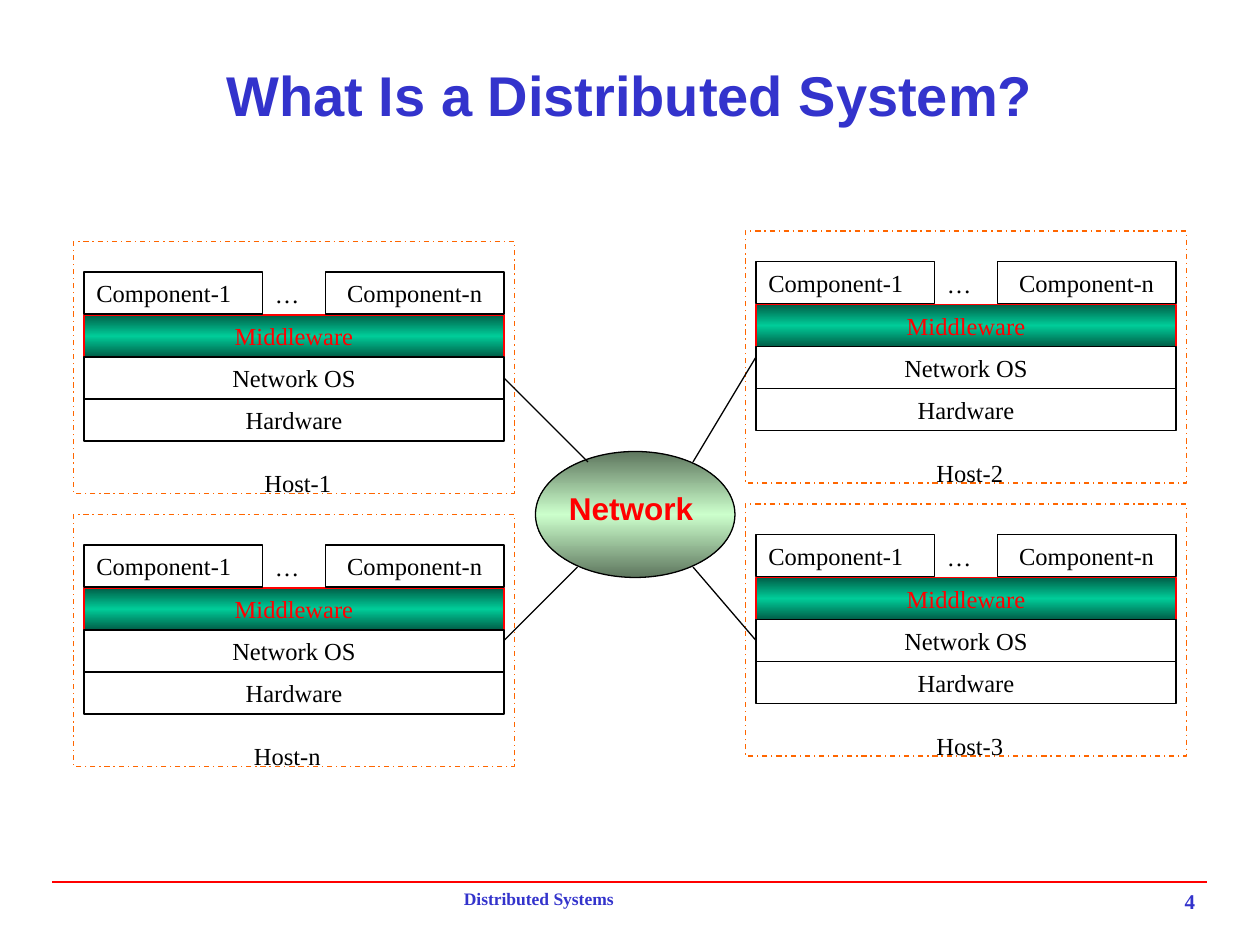
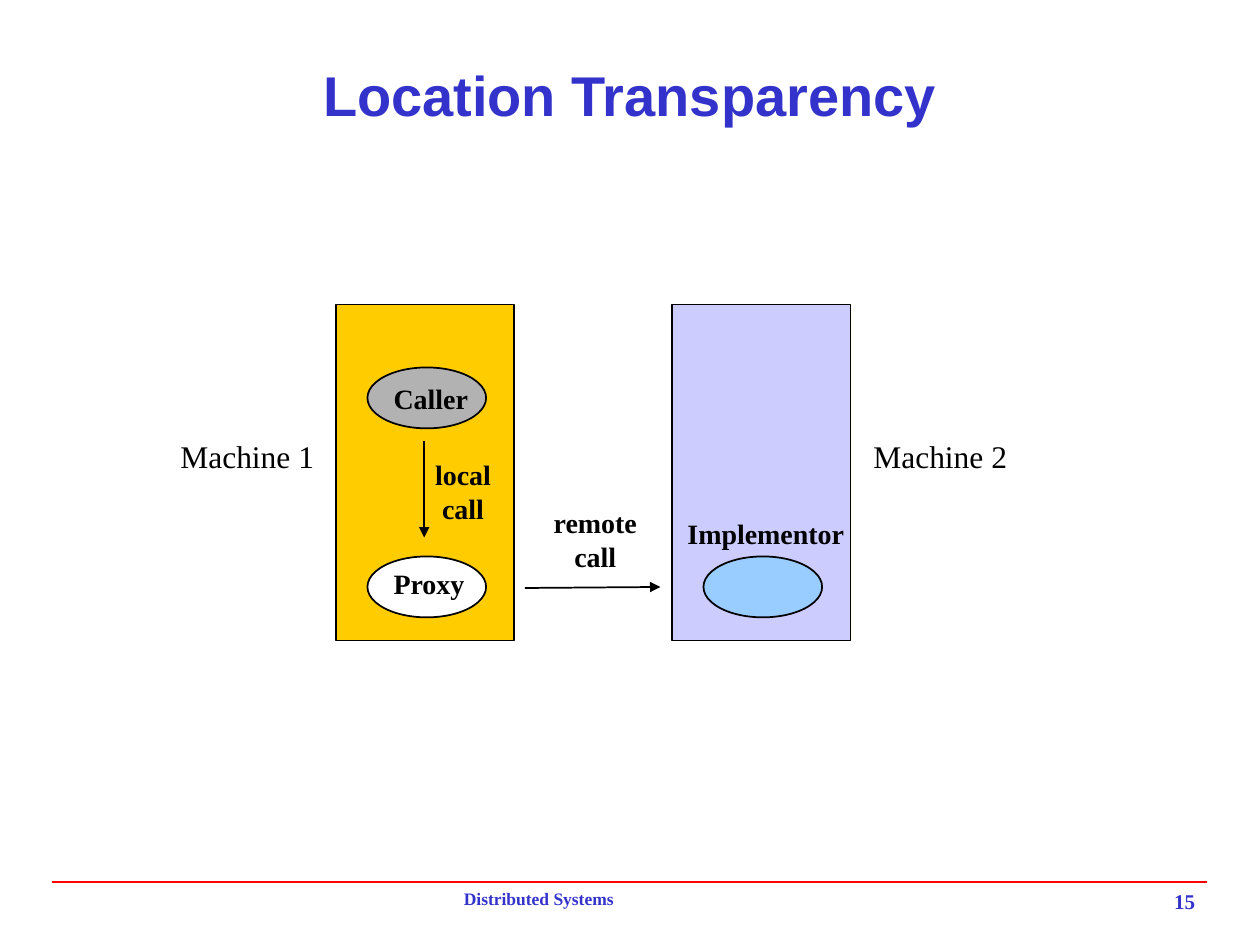
from copy import deepcopy
from dataclasses import dataclass
from typing import Optional

from pptx import Presentation
from pptx.dml.color import RGBColor
from pptx.enum.dml import MSO_LINE
from pptx.enum.shapes import MSO_CONNECTOR, MSO_SHAPE
from pptx.enum.text import MSO_ANCHOR, PP_ALIGN
from pptx.oxml.ns import qn
from pptx.shapes.autoshape import Shape
from pptx.shapes.connector import Connector
from pptx.slide import Slide
from pptx.util import Pt
from lxml import etree

EMU_PER_PX = 7620
LEFT, CENTER, RIGHT = PP_ALIGN.LEFT, PP_ALIGN.CENTER, PP_ALIGN.RIGHT
TOP, MIDDLE = MSO_ANCHOR.TOP, MSO_ANCHOR.MIDDLE
RECTANGLE, OVAL = MSO_SHAPE.RECTANGLE, MSO_SHAPE.OVAL
STRAIGHT = MSO_CONNECTOR.STRAIGHT
DASH_DOT = MSO_LINE.DASH_DOT
LEFT_SIDE, RIGHT_SIDE = 1, 3


@dataclass(frozen=True)
class Theme:
    heading_font: str = "Arial"
    body_font: str = "Times New Roman"
    blue: str = "3333CC"
    red: str = "FF0000"
    black: str = "000000"
    white: str = "FFFFFF"
    orange: str = "FF6600"
    green_dark: str = "005E47"
    green: str = "00CC99"
    sage_dark: str = "5E765E"
    sage: str = "CCFFCC"
    gold: str = "FFCC00"
    lavender: str = "CCCCFF"
    sky: str = "99CCFF"
    gray: str = "B2B2B2"
    title_size: int = 32
    label_size: int = 18
    call_size: int = 16
    layer_size: int = 14
    number_size: int = 12
    footer_size: int = 10
    thin: float = 0.75
    regular: float = 1


THEME = Theme()


@dataclass(frozen=True)
class Box:
    left: int
    top: int
    width: int
    height: int


@dataclass(frozen=True)
class Host:
    name: str
    left: int
    top: int
    name_offset: int = 170


@dataclass(frozen=True)
class Machine:
    name: str
    left: int
    color: str
    name_left: int


@dataclass(frozen=True)
class Node:
    left: int
    top: int
    color: str


@dataclass(frozen=True)
class Label:
    text: str
    box: Box
    align: PP_ALIGN = LEFT


HOSTS = (
    Host("Host-1", 70, 230),
    Host("Host-3", 710, 480),
    Host("Host-n", 70, 490, name_offset=160),
    Host("Host-2", 710, 220),
)
MACHINES = (
    Machine("Machine 2", 640, THEME.lavender, 820),
    Machine("Machine 1", 320, THEME.gold, 160),
)
NODES = (
    Node(670, 530, THEME.sky),
    Node(350, 350, THEME.gray),
    Node(350, 530, THEME.white),
)
CALL_LABELS = (
    Label("Caller", Box(363, 357, 105, 43)),
    Label("Proxy", Box(363, 534, 105, 43)),
    Label("Implementor", Box(643, 486, 190, 43)),
    Label("local\ncall", Box(391, 430, 100, 76), CENTER),
    Label("remote\ncall", Box(507, 476, 120, 76), CENTER),
)


def px(length: int) -> int:
    return length * EMU_PER_PX


def rgb(color: str) -> RGBColor:
    return RGBColor.from_string(color)


def emu(box: Box) -> tuple[int, int, int, int]:
    return px(box.left), px(box.top), px(box.width), px(box.height)


def write(shape: Shape, text: str, *, size: int = THEME.layer_size,
          color: str = THEME.black, font: str = THEME.body_font,
          bold: bool = False, align: PP_ALIGN = LEFT,
          anchor: MSO_ANCHOR = TOP) -> None:
    frame = shape.text_frame
    frame.word_wrap = True
    frame.vertical_anchor = anchor
    frame.text = text
    for paragraph in frame.paragraphs:
        paragraph.alignment = align
        paragraph.font.name = font
        paragraph.font.size = Pt(size)
        paragraph.font.bold = bold
        paragraph.font.color.rgb = rgb(color)


def add_text(slide: Slide, box: Box, text: str, **text_format) -> None:
    write(slide.shapes.add_textbox(*emu(box)), text, **text_format)


def add_figure(slide: Slide, box: Box, kind: MSO_SHAPE = RECTANGLE, *,
               fill: Optional[str] = None, line: str = THEME.black,
               weight: float = THEME.thin) -> Shape:
    shape = slide.shapes.add_shape(kind, *emu(box))
    shape.shadow.inherit = False
    if fill:
        shape.fill.solid()
        shape.fill.fore_color.rgb = rgb(fill)
    else:
        shape.fill.background()
    shape.line.color.rgb = rgb(line)
    shape.line.width = Pt(weight)
    return shape


def fill_with_band(shape: Shape, edge: str, middle: str) -> None:
    shape.fill.gradient()
    shape.fill.gradient_angle = 90
    stop_list = shape.element.spPr.find(qn("a:gradFill")).find(qn("a:gsLst"))
    stop_list.append(deepcopy(stop_list[0]))
    stops = zip(shape.fill.gradient_stops, (0, 0.5, 1), (edge, middle, edge))
    for stop, position, color in stops:
        stop.position = position
        stop.color.rgb = rgb(color)


def add_line(slide: Slide, start: tuple[int, int], end: tuple[int, int], *,
             color: str = THEME.black, weight: float = THEME.regular,
             arrow: bool = False) -> Connector:
    connector = slide.shapes.add_connector(
        STRAIGHT, *(px(value) for value in start + end))
    connector.line.color.rgb = rgb(color)
    connector.line.width = Pt(weight)
    if arrow:
        outline = connector.element.spPr.find(qn("a:ln"))
        etree.SubElement(outline, qn("a:tailEnd"), type="triangle")
    etree.SubElement(connector.element.spPr, qn("a:effectLst"))
    return connector


def add_base(presentation: Presentation, title: str, number: int) -> Slide:
    slide = presentation.slides.add_slide(presentation.slide_layouts[6])
    add_line(slide, (50, 840), (1150, 840), color=THEME.red)
    add_text(slide, Box(430, 840, 380, 40), "Distributed Systems",
             size=THEME.footer_size, color=THEME.blue, bold=True)
    add_text(slide, Box(900, 840, 250, 40), str(number),
             size=THEME.number_size, color=THEME.blue, bold=True, align=RIGHT)
    add_text(slide, Box(60, 50, 1080, 80), title, size=THEME.title_size,
             color=THEME.blue, font=THEME.heading_font, bold=True,
             align=CENTER, anchor=MIDDLE)
    return slide


def add_host(slide: Slide, host: Host) -> Shape:
    def place(left: int, top: int, width: int, height: int = 40) -> Box:
        return Box(host.left + left, host.top + top, width, height)

    frame = add_figure(slide, place(0, 0, 420, 240), line=THEME.orange)
    frame.line.dash_style = DASH_DOT

    middleware = add_figure(slide, place(10, 70, 400), line=THEME.red)
    fill_with_band(middleware, THEME.green_dark, THEME.green)
    write(middleware, "Middleware", color=THEME.red, align=CENTER)

    network_os = add_figure(slide, place(10, 110, 400))
    write(network_os, "Network OS", align=CENTER)
    for name, left, align in (("Component-1", 10, LEFT),
                              ("Component-n", 240, CENTER)):
        write(add_figure(slide, place(left, 29, 170)), name, align=align)
    add_text(slide, place(180, 30, 70), "…")
    add_text(slide, place(host.name_offset, 210, 110), host.name)
    write(add_figure(slide, place(10, 150, 400)), "Hardware", align=CENTER)
    return network_os


def build_distributed_system(presentation: Presentation) -> None:
    slide = add_base(presentation, "What Is a Distributed System?", 4)
    network_os = {host.name: add_host(slide, host) for host in HOSTS}

    network = add_figure(slide, Box(510, 430, 190, 120), OVAL)
    fill_with_band(network, THEME.sage_dark, THEME.sage)
    add_text(slide, Box(530, 460, 160, 48), "Network", size=THEME.label_size,
             color=THEME.red, font=THEME.heading_font, bold=True)

    add_line(slide, (480, 610), (550, 540), weight=THEME.thin)
    add_line(slide, (720, 340), (660, 440), weight=THEME.thin)
    for name, side, start, end in (
            ("Host-3", LEFT_SIDE, (720, 610), (660, 540)),
            ("Host-1", RIGHT_SIDE, (480, 360), (560, 440))):
        link = add_line(slide, start, end, weight=THEME.thin)
        link.begin_connect(network_os[name], side)


def build_location_transparency(presentation: Presentation) -> None:
    slide = add_base(presentation, "Location Transparency", 15)
    for machine in MACHINES:
        add_figure(slide, Box(machine.left, 290, 170, 320),
                   fill=machine.color, weight=THEME.regular)
        add_text(slide, Box(machine.name_left, 410, 170, 48), machine.name,
                 size=THEME.label_size)
    for node in NODES:
        add_figure(slide, Box(node.left, node.top, 113, 58), OVAL,
                   fill=node.color, weight=THEME.regular)
    for label in CALL_LABELS:
        add_text(slide, label.box, label.text, size=THEME.call_size,
                 bold=True, align=label.align)
    add_line(slide, (404, 420), (404, 512), arrow=True)
    add_line(slide, (500, 560), (629, 559), arrow=True)


def main() -> None:
    presentation = Presentation()
    presentation.slide_width = px(1200)
    presentation.slide_height = px(900)
    build_distributed_system(presentation)
    build_location_transparency(presentation)
    presentation.save("out.pptx")


if __name__ == "__main__":
    main()
